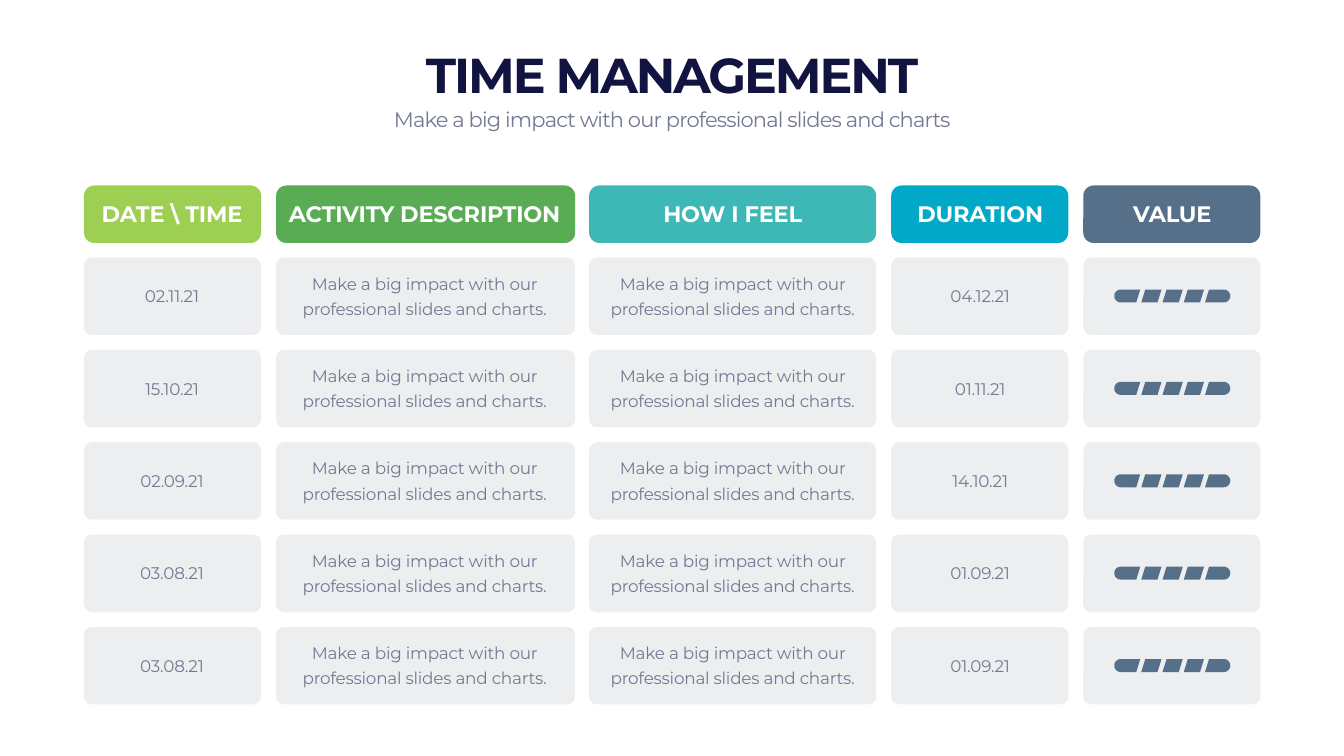
"""Build the time management slide."""
import math

from lxml import etree
from pptx import Presentation
from pptx.dml.color import RGBColor
from pptx.enum.shapes import MSO_SHAPE
from pptx.enum.text import MSO_ANCHOR, MSO_AUTO_SIZE, PP_ALIGN
from pptx.oxml.ns import qn
from pptx.util import Inches, Pt

ROUNDED = MSO_SHAPE.ROUNDED_RECTANGLE
TOP, MIDDLE, BOTTOM = MSO_ANCHOR.TOP, MSO_ANCHOR.MIDDLE, MSO_ANCHOR.BOTTOM
CENTER = PP_ALIGN.CENTER
GROW = MSO_AUTO_SIZE.SHAPE_TO_FIT_TEXT

PIXEL = 914400 / 50.4
COLORS = {
    "navy": "111340", "grey": "747993", "white": "FFFFFF", "card": "C4C8CE",
    "lime": "9DCF53", "green": "59AC54", "teal": "3DB8B6",
    "cyan": "01A8C7", "slate": "56708A",
}
STYLES = {
    "title": {"font": {"size": Pt(70), "bold": True}, "color": "navy",
              "spacing": -290, "anchor": BOTTOM, "para": {}},
    "subtitle": {"font": {"size": Pt(30)}, "color": "grey",
                 "spacing": -120, "anchor": TOP, "para": {}},
    "header": {"font": {"size": Pt(32), "bold": True}, "color": "white",
               "spacing": -30, "anchor": MIDDLE, "para": {}},
    "body": {"font": {"size": Pt(24)}, "color": "grey", "spacing": -30,
             "anchor": MIDDLE, "para": {"line_spacing": Pt(36)}},
}

SENTENCE = "Make a big impact with our professional slides and charts"
ACTIVITY = SENTENCE + "."
START_DATES = ["02.11.21", "15.10.21", "02.09.21", "03.08.21", "03.08.21"]
END_DATES = ["04.12.21", "01.11.21", "14.10.21", "01.09.21", "01.09.21"]
ROWS = len(START_DATES)
COLUMNS = [
    ("DATE \\ TIME", "lime", (84, 177), (89, 166), START_DATES),
    ("ACTIVITY DESCRIPTION", "green", (276, 299), (282, 285), [ACTIVITY] * ROWS),
    ("HOW I FEEL", "teal", (589, 287), (599, 267), [ACTIVITY] * ROWS),
    ("DURATION", "cyan", (891, 177), (897, 166), END_DATES),
    ("VALUE", "slate", (1083, 177), (1089, 166), None),
]
HEADER_TOP, HEADER_HEIGHT = 185.5, 57.5
FIRST_ROW, LAST_ROW, CARD_HEIGHT = 257.5, 627, 77.5
ROW_STEP = (LAST_ROW - FIRST_ROW) / (ROWS - 1)


def emu(pixels):
    """Turn pixels into EMU."""
    return round(pixels * PIXEL)


def apply(target, values):
    """Set each format value on the target."""
    for name, value in values.items():
        setattr(target, name, value)


def paint(shape, color, opacity=100):
    """Give a shape a flat fill without outline or shadow."""
    shape.shadow.inherit = False
    shape.line.fill.background()
    shape.fill.solid()
    shape.fill.fore_color.rgb = RGBColor.from_string(COLORS[color])
    if opacity < 100:
        tint = shape.fill._xPr.find(".//" + qn("a:srgbClr"))
        etree.SubElement(tint, qn("a:alpha")).set("val", str(opacity * 1000))


def add_card(page, left, top, width, height, radius, color, opacity=100):
    """Add a rounded rectangle."""
    card = page.shapes.add_shape(ROUNDED, *map(emu, (left, top, width, height)))
    card.adjustments[0] = radius
    paint(card, color, opacity)


def add_text(page, left, top, width, height, text, style):
    """Add a centred line or paragraph of text."""
    look = STYLES[style]
    box = page.shapes.add_textbox(*map(emu, (left, top, width, height)))
    apply(box.text_frame, {"word_wrap": True, "auto_size": GROW,
                           "vertical_anchor": look["anchor"]})
    para = box.text_frame.paragraphs[0]
    apply(para, {"alignment": CENTER, **look["para"]})
    span = para.add_run()
    span.text = text
    apply(span.font, {"name": "Montserrat", **look["font"]})
    span.font.color.rgb = RGBColor.from_string(COLORS[look["color"]])
    span._r.get_or_add_rPr().set("spc", str(look["spacing"]))


def round_end(center, radius, start):
    """List the points of a half circle, clockwise from the start angle."""
    angles = [math.radians(start + step * 15) for step in range(13)]
    return [(center + radius * math.cos(angle), radius + radius * math.sin(angle))
            for angle in angles]


def gauge_parts():
    """List the outlines of the five gauge segments."""
    width, height, slant, pitch, gap, first = 116, 13, 4, 21.25, 5, 26
    radius = height / 2
    parts = []
    for index in range(5):
        right = first + index * pitch
        left = right - pitch + gap
        start = [(left - slant, height), (left, 0)]
        end = [(right, 0), (right - slant, height)]
        if index == 0:
            start = round_end(radius, radius, 90)
        if index == 4:
            end = round_end(width - radius, radius, -90)
        parts.append(start + end)
    return parts


def add_gauge(page, left, top):
    """Add a segmented gauge with round ends."""
    builder = None
    for part in gauge_parts():
        points = [(emu(left + x), emu(top + y)) for x, y in part]
        if builder is None:
            builder = page.shapes.build_freeform(*points[0])
        else:
            builder.move_to(*points[0])
        builder.add_line_segments(points[1:], close=True)
    paint(builder.convert_to_shape(), "slate")


def add_column(page, title, color, card, text, entries):
    """Add a header and the cells below it."""
    left, width = card
    text_left, text_width = text
    add_card(page, left, HEADER_TOP, width, HEADER_HEIGHT, 0.18, color)
    add_text(page, text_left, 198, text_width, 32, title, "header")
    for row in range(ROWS):
        top = FIRST_ROW + row * ROW_STEP
        add_card(page, left, top, width, CARD_HEIGHT, 0.1, "card", 30)
        if entries is None:
            add_gauge(page, left + 31, top + 32)
        else:
            height = 54 if entries[row] == ACTIVITY else 28
            add_text(page, text_left, top + 36 - height / 2, text_width, height,
                     entries[row], "body")


def main():
    """Build and save the slide."""
    deck = Presentation()
    apply(deck, {"slide_width": Inches(26.66), "slide_height": Inches(15)})
    page = deck.slides.add_slide(deck.slide_layouts[6])
    for column in COLUMNS:
        add_column(page, *column)
    add_text(page, 84, 41, 1176, 65, "TIME MANAGEMENT", "title")
    add_text(page, 84, 104, 1176, 31, SENTENCE, "subtitle")
    deck.save("out.pptx")


main()
